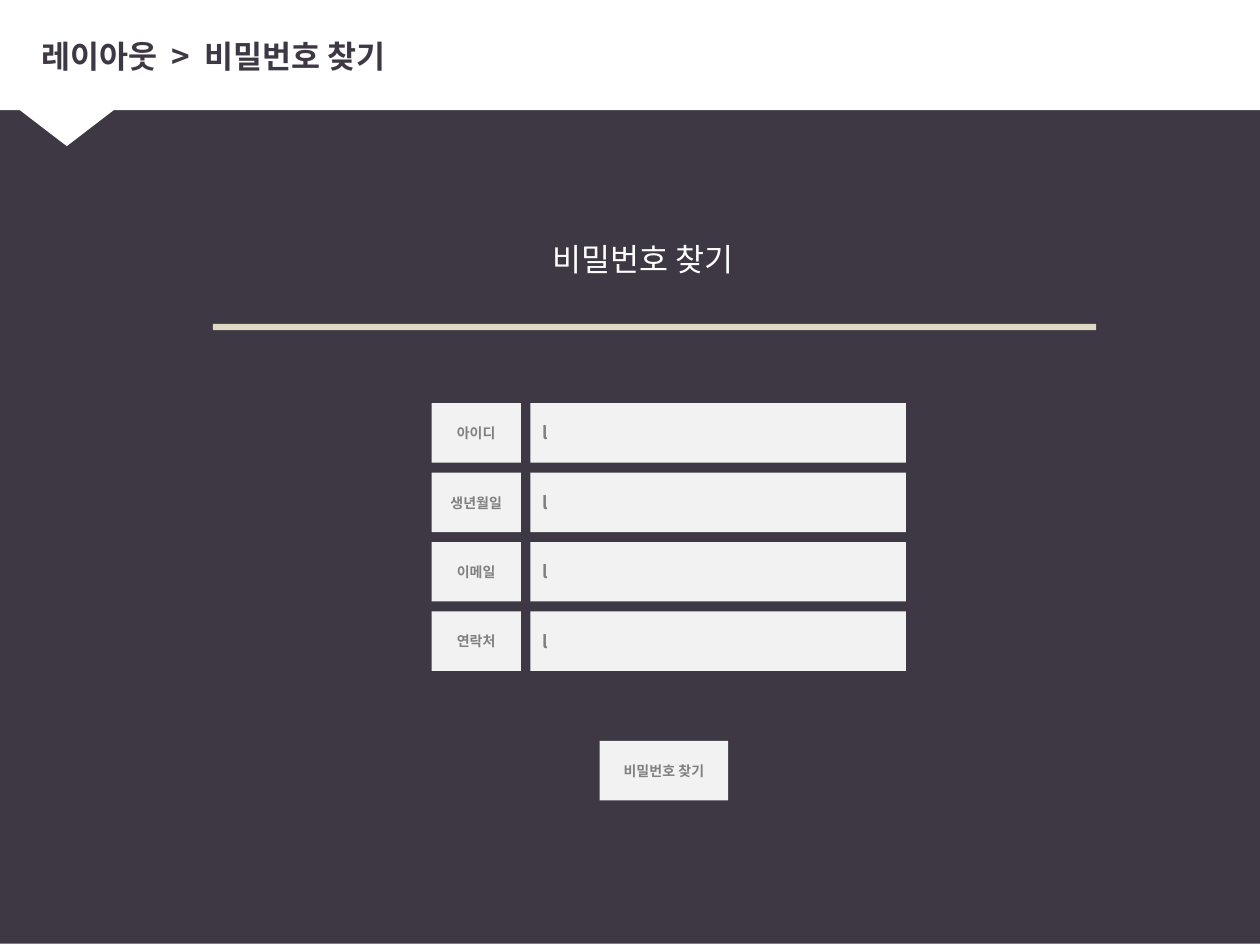
from dataclasses import dataclass

from pptx import Presentation
from pptx.dml.color import RGBColor
from pptx.enum.shapes import MSO_SHAPE
from pptx.enum.text import MSO_ANCHOR, PP_ALIGN
from pptx.slide import Slide
from pptx.util import Inches, Pt

WHITE = RGBColor(0xFF, 0xFF, 0xFF)
DARK = RGBColor(0x3D, 0x38, 0x44)
FIELD = RGBColor(0xF2, 0xF2, 0xF2)
GRAY = RGBColor(0x80, 0x80, 0x80)
SAND = RGBColor(0xDD, 0xD9, 0xC3)

COLUMNS, ROWS = 100, 75
LABELS = ["아이디", "생년월일", "이메일", "연락처"]
FIELD_TOP, FIELD_HEIGHT, FIELD_STEP = 32, 4.72, 5.51
LABEL_LEFT, LABEL_WIDTH = 34.25, 7.1
INPUT_LEFT, INPUT_WIDTH = 42.1, 29.8


def write_text(shape, *parts, size=8, color=GRAY, bold=True,
               align=PP_ALIGN.CENTER, anchor=MSO_ANCHOR.MIDDLE,
               font="Noto Sans CJK KR", space_tracking=0):
    frame = shape.text_frame
    frame.word_wrap = True
    frame.vertical_anchor = anchor
    paragraph = frame.paragraphs[0]
    paragraph.alignment = align
    for part in parts:
        run = paragraph.add_run()
        run.text = part
        run.font.size = Pt(size)
        run.font.bold = bold
        run.font.name = font
        run.font.color.rgb = color
        properties = run._r.get_or_add_rPr()
        if part == " " and space_tracking:
            properties.set("spc", str(space_tracking * 100))
        east_asian = properties.makeelement(
            "{http://schemas.openxmlformats.org/drawingml/2006/main}ea",
            {"typeface": font})
        properties.append(east_asian)


@dataclass
class FormPage:
    slide: Slide
    column: float
    row: float

    def place(self, left, top, width, height):
        return (round(left * self.column), round(top * self.row),
                round(width * self.column), round(height * self.row))

    def block(self, *cells, fill=FIELD, kind=MSO_SHAPE.RECTANGLE):
        shape = self.slide.shapes.add_shape(kind, *self.place(*cells))
        shape.shadow.inherit = False
        shape.fill.solid()
        shape.fill.fore_color.rgb = fill
        shape.line.fill.background()
        return shape

    def text(self, *parts, cells, **text_format):
        box = self.slide.shapes.add_textbox(*self.place(*cells))
        write_text(box, *parts, **text_format)

    def button(self, label, *cells):
        write_text(self.block(*cells), label)

    def field(self, label, top):
        self.button(label, LABEL_LEFT, top, LABEL_WIDTH, FIELD_HEIGHT)
        entry = self.block(INPUT_LEFT, top, INPUT_WIDTH, FIELD_HEIGHT)
        write_text(entry, "l", size=10, align=PP_ALIGN.LEFT)


def main():
    presentation = Presentation()
    presentation.slide_width = Inches(10)
    presentation.slide_height = Inches(7.5)
    slide = presentation.slides.add_slide(presentation.slide_layouts[6])
    page = FormPage(slide, presentation.slide_width / COLUMNS,
                    presentation.slide_height / ROWS)

    page.block(0, 0, COLUMNS, 74.9, fill=DARK)
    page.block(0, 0, COLUMNS, 8.75, fill=WHITE)
    pointer = page.block(-2, 6, 14.6, 5.6, fill=WHITE,
                         kind=MSO_SHAPE.ISOSCELES_TRIANGLE)
    pointer.rotation = 180
    page.text("레이아웃", " ", ">", " ", "비밀번호 찾기",
              cells=(2.3, 1.3, 96.6, 6.2), size=18, color=DARK,
              align=PP_ALIGN.LEFT, space_tracking=4)

    page.block(16.9, 25.7, 70.1, 0.5, fill=SAND)
    page.text("비밀번호 찾기", cells=(0, 18.6, 102, 4), size=18,
              color=WHITE, bold=False, anchor=MSO_ANCHOR.TOP)
    for index, label in enumerate(LABELS):
        page.field(label, FIELD_TOP + index * FIELD_STEP)
    page.button("비밀번호 찾기", 47.6, 58.8, 10.2, FIELD_HEIGHT)

    presentation.save("out.pptx")


if __name__ == "__main__":
    main()
